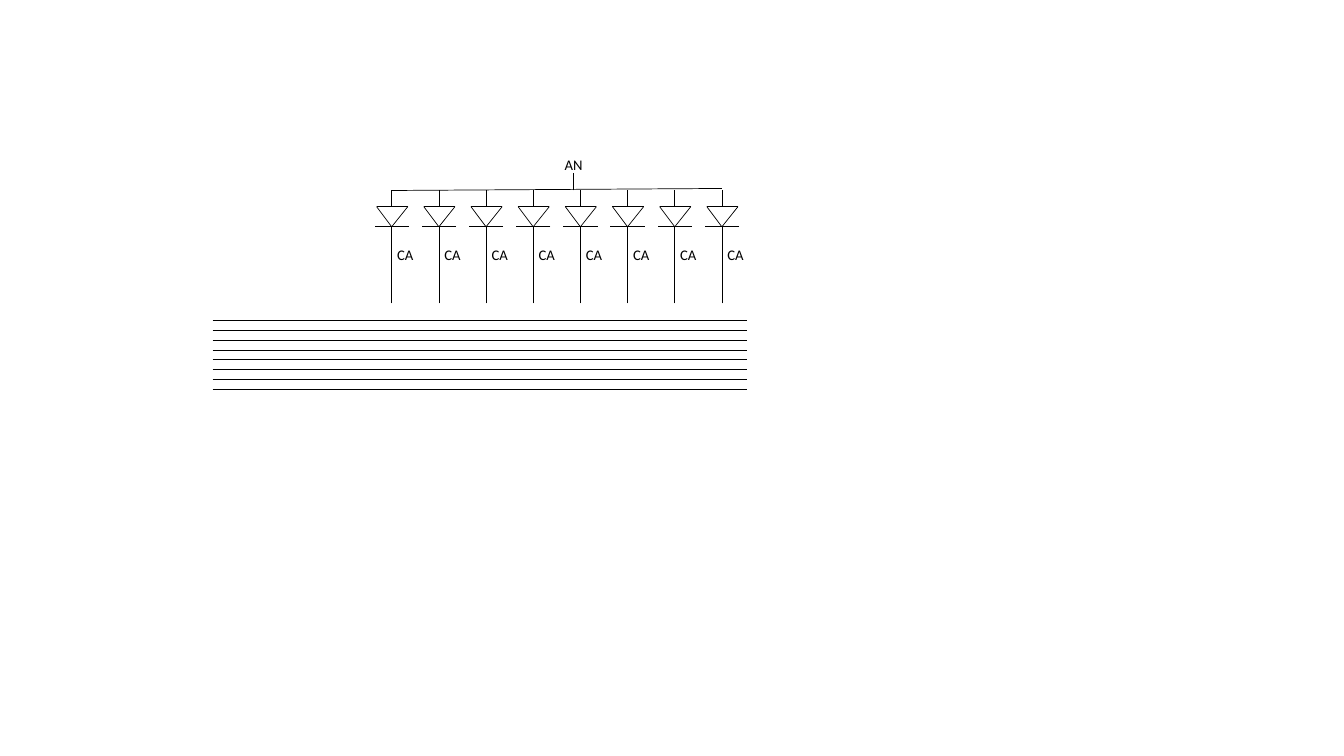
"""Draw eight common-anode diodes above an eight-line bus."""
from dataclasses import dataclass

from lxml import etree
from pptx import Presentation
from pptx.dml.color import RGBColor
from pptx.enum.shapes import MSO_CONNECTOR
from pptx.enum.text import MSO_AUTO_SIZE, PP_ALIGN
from pptx.oxml.ns import qn
from pptx.util import Inches, Pt

STRAIGHT = MSO_CONNECTOR.STRAIGHT
CENTER = PP_ALIGN.CENTER
FIT_SHAPE = MSO_AUTO_SIZE.SHAPE_TO_FIT_TEXT


@dataclass(frozen=True)
class Theme:
    ink: RGBColor = RGBColor(0, 0, 0)
    font: str = "Calibri"
    label_size: float = 10.5
    line_width: float = 0.5


theme = Theme()


def add_line(shapes, x1, y1, x2, y2):
    line = shapes.add_connector(STRAIGHT, Inches(x1), Inches(y1), Inches(x2), Inches(y2))
    line.line.color.rgb = theme.ink
    line.line.width = Pt(theme.line_width)
    etree.SubElement(line._element.spPr, qn("a:effectLst"))


def add_label(text, *, left, top, width, height, size=theme.label_size, color=theme.ink, align=CENTER):
    box = page.shapes.add_textbox(Inches(left), Inches(top), Inches(width), Inches(height))
    box.text_frame.word_wrap = False
    box.text_frame.auto_size = FIT_SHAPE
    para = box.text_frame.paragraphs[0]
    para.alignment = align
    span = para.add_run()
    span.text = text
    span.font.name = theme.font
    span.font.size = Pt(size)
    span.font.color.rgb = color


deck = Presentation()
deck.slide_width = Inches(13.33)
deck.slide_height = Inches(7.5)
page = deck.slides.add_slide(deck.slide_layouts[6])

diode_count = 8
first_axis, last_axis = 3.885, 7.16
diode_pitch = (last_axis - first_axis) / (diode_count - 1)
rail_y, anode_y, cathode_y, lead_end_y = 1.89, 2.05, 2.25, 3.01

for index in range(diode_count):
    axis = first_axis + index * diode_pitch
    left, right = axis - 0.15, axis + 0.16
    diode = page.shapes.add_group_shape()
    for ends in (
        (left, anode_y, right, anode_y),
        (left, anode_y, axis, cathode_y),
        (right, anode_y, axis, cathode_y),
        (axis + 0.17, cathode_y, axis - 0.17, cathode_y),
        (axis, anode_y, axis, rail_y),
        (axis, lead_end_y, axis, cathode_y),
    ):
        add_line(diode.shapes, *ends)
    add_label("CA", left=axis - 0.05, top=2.39, width=0.37, height=0.29)

add_line(page.shapes, first_axis, rail_y, last_axis, 1.87)
add_line(page.shapes, 5.69, rail_y, 5.69, 1.72)
add_label("AN", left=5.5, top=1.5, width=0.38, height=0.28)

bus_top, bus_bottom = 3.18, 3.86
bus_gap = (bus_bottom - bus_top) / (diode_count - 1)
for index in range(diode_count):
    y = bus_top + index * bus_gap
    add_line(page.shapes, 2.11, y, 7.41, y)

deck.save("out.pptx")
